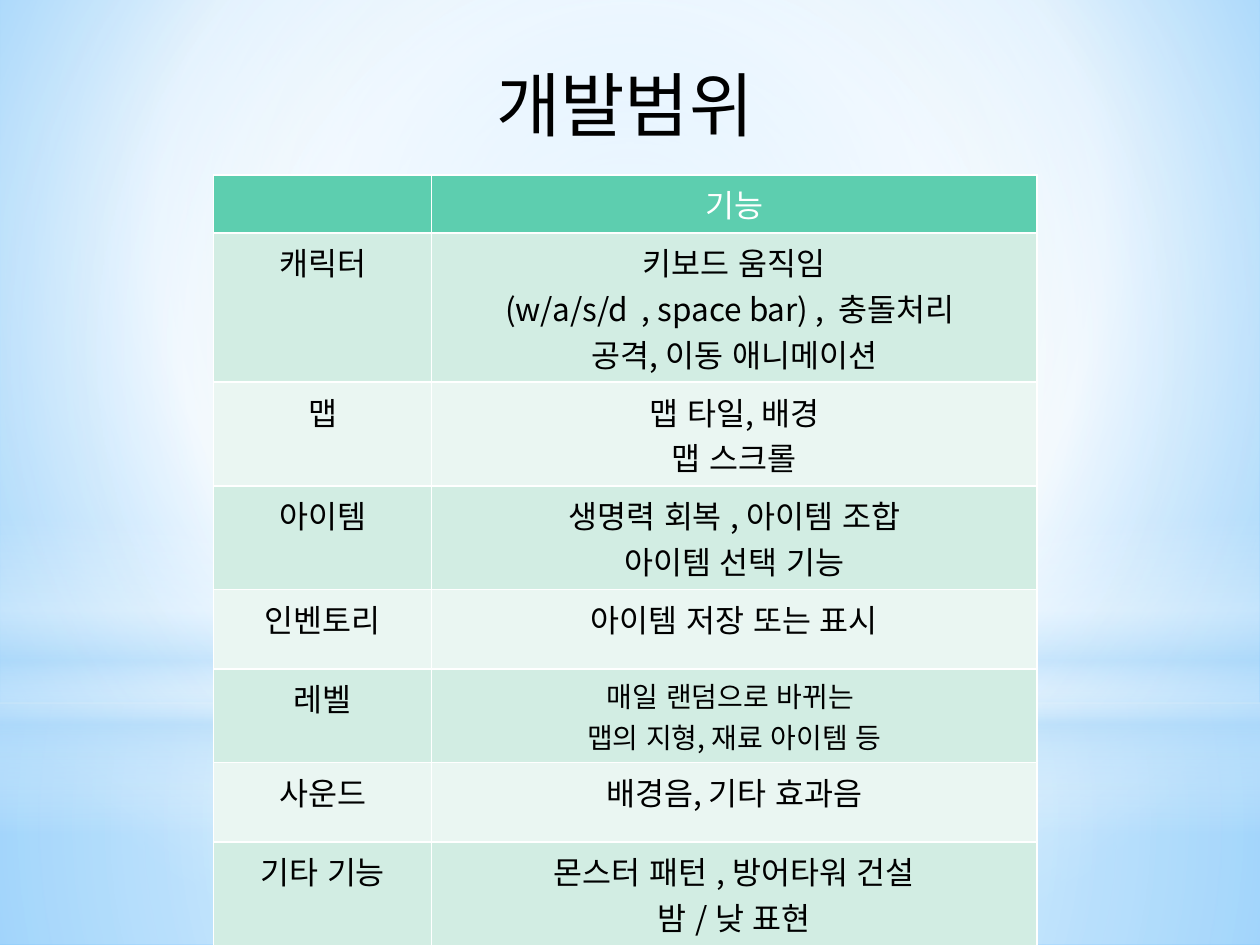
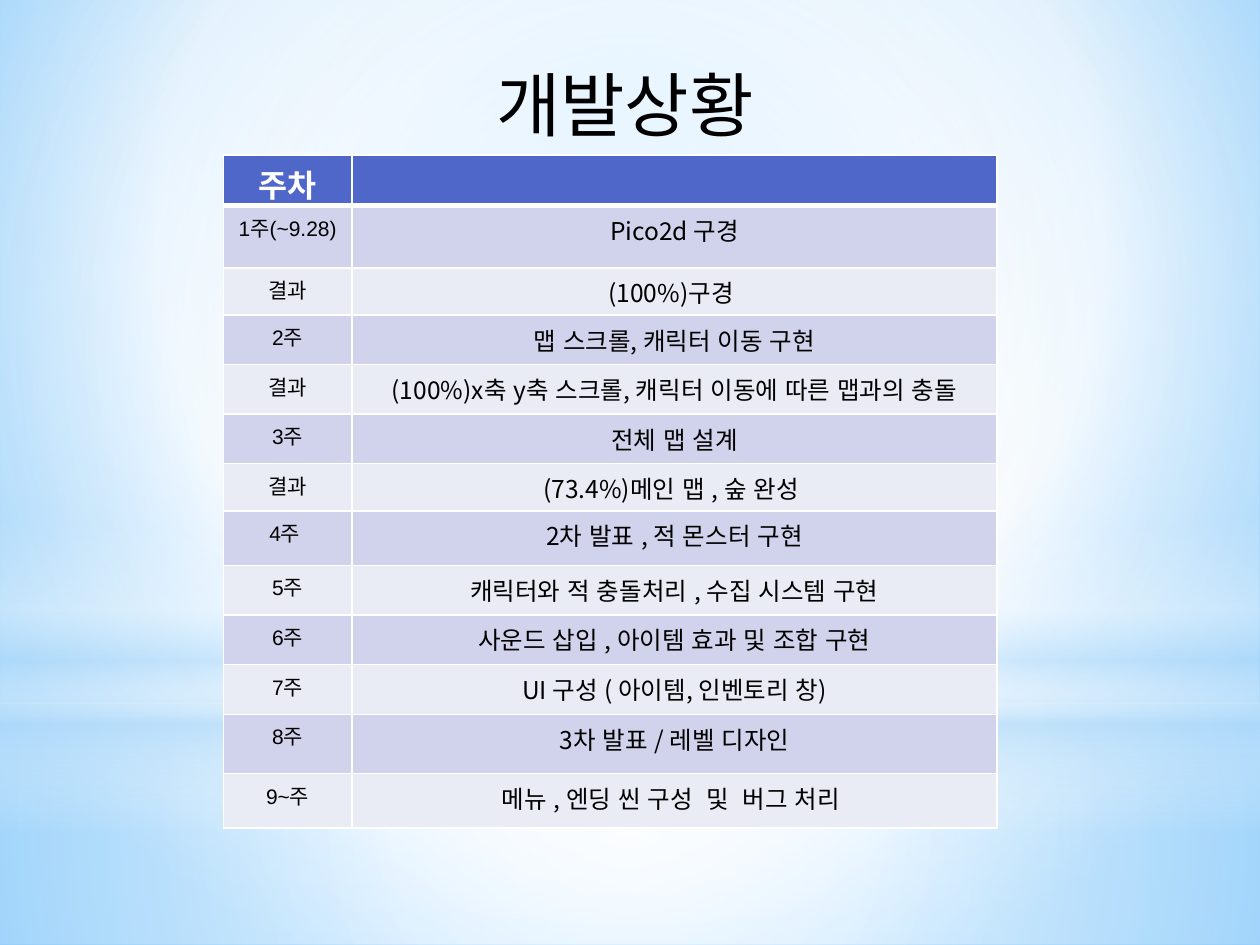
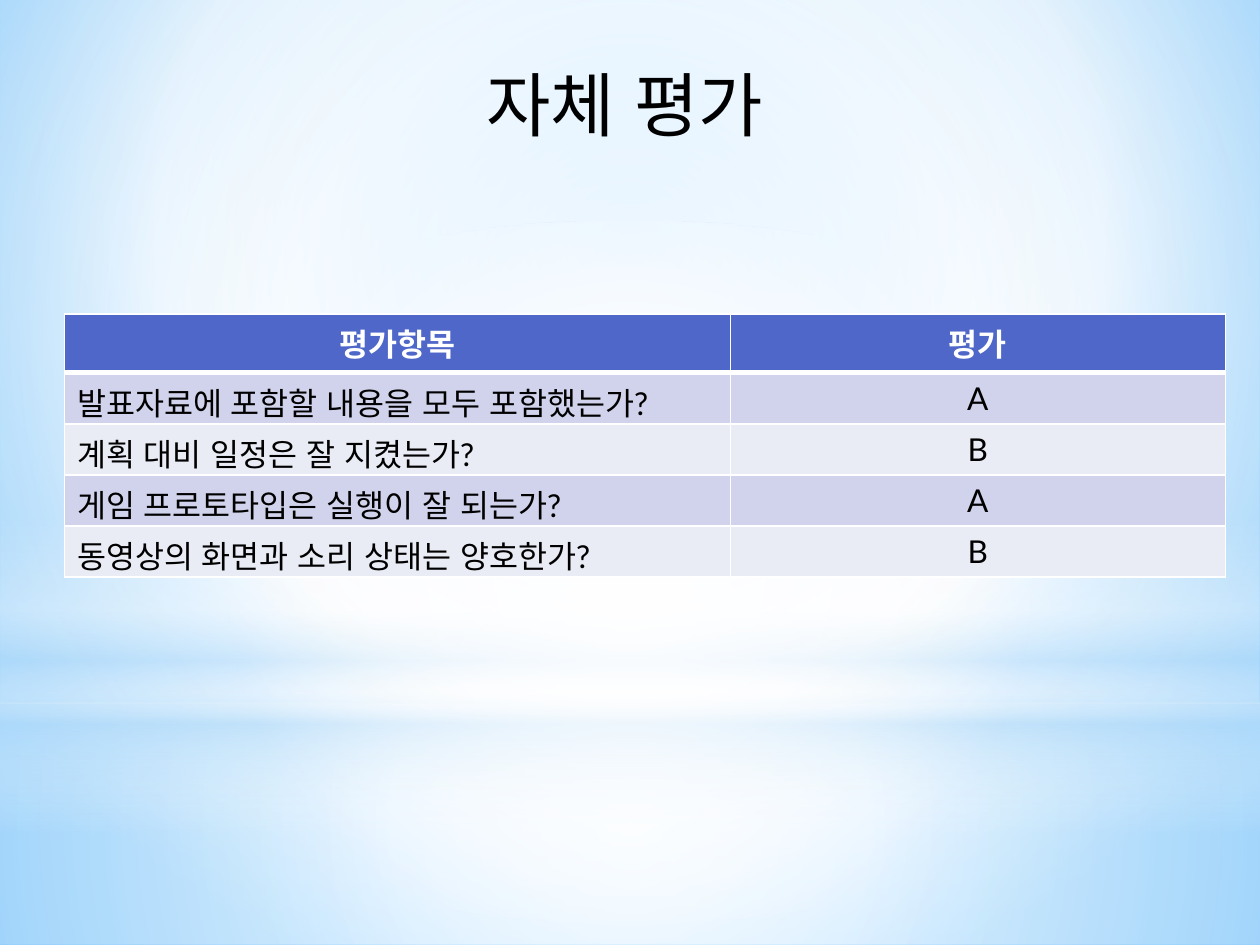
from collections import namedtuple

from lxml import etree
from pptx import Presentation
from pptx.dml.color import RGBColor
from pptx.enum.lang import MSO_LANGUAGE_ID
from pptx.enum.shapes import MSO_SHAPE
from pptx.enum.text import MSO_AUTO_SIZE, PP_ALIGN
from pptx.oxml.ns import qn
from pptx.util import Pt

RECT, OVAL = MSO_SHAPE.RECTANGLE, MSO_SHAPE.OVAL
LEFT, CENTER = PP_ALIGN.LEFT, PP_ALIGN.CENTER
FIT_SHAPE = MSO_AUTO_SIZE.SHAPE_TO_FIT_TEXT
KOREAN = MSO_LANGUAGE_ID.KOREAN

COLORS = {
    "black": "000000", "white": "FFFFFF",
    "sky": "9ED5FF", "deep": "5BB9FF", "mist": "B4DCFA",
    "green": "5DCEAF", "green_dark": "D2EDE3", "green_light": "EAF6F2",
    "blue": "4E67C8", "blue_dark": "D0D3EB", "blue_light": "E9EBF5",
}
HEAD_FONT, LABEL_FONT, BODY_FONT = "Lato", "Arial", "Noto Sans CJK KR"
MIDDLE = (50, 50, 50, 50)

# Text style of a column, and look of a whole table
Style = namedtuple("Style", "font size align", defaults=[CENTER])
Theme = namedtuple("Theme", "head dark light bold rule bottom")
GREEN = Theme("green", "green_dark", "green_light", False, 1, 3.6)
BLUE = Theme("blue", "blue_dark", "blue_light", True, 3, 0)

# Background layers: shape, top, height, stops (position, colour, alpha), focus
LAYERS = [
    (RECT, 401.76, 138.24, [(0, "white", 91), (37, "white", 76), (100, "mist", 79)], MIDDLE),
    (RECT, 0, 401.76, [(0, "white", 89), (48, "white", 62), (100, "mist", 79)], MIDDLE),
    (RECT, 296.64, 180, [(0, "white", 0), (29, "white", 30), (45, "mist", 40),
                         (55, "white", 26), (65, "mist", 60), (100, "white", 0)], None),
    (OVAL, 126, 401.76, [(0, "white", 100), (56, "white", 0)], MIDDLE),
]

SCOPE_ROWS = [
    ("", "기능"),
    ("캐릭터", "키보드 움직임\n(w/a/s/d  , space bar) ,  충돌처리 \n공격, 이동 애니메이션"),
    ("맵", "맵 타일, 배경\n맵 스크롤"),
    ("아이템", "생명력 회복 , 아이템 조합\n아이템 선택 기능"),
    ("인벤토리", "아이템 저장 또는 표시"),
    ("레벨", "매일 랜덤으로 바뀌는 \n맵의 지형, 재료 아이템 등"),
    ("사운드", "배경음, 기타 효과음"),
    ("기타 기능", "몬스터 패턴 , 방어타워 건설\n밤 / 낮 표현"),
]
PROGRESS_ROWS = [
    ("주차", ""),
    ("1주(~9.28)", "Pico2d 구경"),
    ("결과", "(100%)구경 "),
    ("2주", "맵 스크롤, 캐릭터 이동 구현"),
    ("결과", "(100%)x축 y축 스크롤, 캐릭터 이동에 따른 맵과의 충돌"),
    ("3주", "전체 맵 설계"),
    ("결과", "(73.4%)메인 맵 , 숲 완성 "),
    ("4주 ", "2차 발표 , 적 몬스터 구현"),
    ("5주", "캐릭터와 적 충돌처리 , 수집 시스템 구현"),
    ("6주", "사운드 삽입 , 아이템 효과 및 조합 구현"),
    ("7주", "UI 구성 ( 아이템, 인벤토리 창)"),
    ("8주", "3차 발표 / 레벨 디자인"),
    ("9~주", "메뉴 , 엔딩 씬 구성  및  버그 처리 "),
]
REVIEW_ROWS = [
    ("평가항목", "평가"),
    ("발표자료에 포함할 내용을 모두 포함했는가?", "A"),
    ("계획 대비 일정은 잘 지켰는가?", "B"),
    ("게임 프로토타입은 실행이 잘 되는가?", "A"),
    ("동영상의 화면과 소리 상태는 양호한가?", "B"),
]


def rgb(name):
    return RGBColor.from_string(COLORS[name])


def set_gradient(fill, props, stops, focus):
    """Fill with a round gradient, or a vertical one when there is no focus."""
    fill.solid()
    grad = etree.Element(qn("a:gradFill"), rotWithShape="1")
    stop_list = etree.SubElement(grad, qn("a:gsLst"))
    for position, color, alpha in stops:
        stop = etree.SubElement(stop_list, qn("a:gs"), pos=str(position * 1000))
        value = etree.SubElement(stop, qn("a:srgbClr"), val=COLORS[color])
        if alpha < 100:
            etree.SubElement(value, qn("a:alpha"), val=str(alpha * 1000))
    if focus:
        shade = etree.SubElement(grad, qn("a:path"), path="circle")
        sides = {side: str(v * 1000) for side, v in zip("ltrb", focus)}
        etree.SubElement(shade, qn("a:fillToRect"), **sides)
    else:
        etree.SubElement(grad, qn("a:lin"), ang="5400000", scaled="0")
    props.replace(props.find(qn("a:solidFill")), grad)


def set_master_background(prs):
    master = prs.slide_master
    fill = master.background.fill
    fill.solid()
    props = master.element.find(".//" + qn("p:bgPr"))
    stops = [(0, "sky", 100), (60, "white", 100), (100, "deep", 100)]
    set_gradient(fill, props, stops, (20, 10, 20, 60))


def write_text(tf, text, style, color="black", bold=False):
    for i, line in enumerate(text.split("\n")):
        p = tf.paragraphs[0] if i == 0 else tf.add_paragraph()
        p.alignment = style.align
        p.font.name, p.font.size, p.font.bold = style.font, Pt(style.size), bold
        p.font.color.rgb = rgb(color)
        p.font.language_id = KOREAN
        if line:
            p.add_run().text = line


def add_page(prs, title):
    """Slide with the shared light layers and a centred title."""
    s = prs.slides.add_slide(prs.slide_layouts[6])
    for kind, top, height, stops, focus in LAYERS:
        sp = s.shapes.add_shape(kind, 0, Pt(top), prs.slide_width, Pt(height))
        sp.shadow.inherit = False
        sp.line.fill.background()
        set_gradient(sp.fill, sp.element.spPr, stops, focus)
    box = s.shapes.add_textbox(Pt(167), Pt(31.7), Pt(380.2), Pt(55.7))
    tf = box.text_frame
    tf.word_wrap = True
    tf.auto_size = FIT_SHAPE
    write_text(tf, title, Style(HEAD_FONT, 40))
    return s


def set_borders(cell, top, bottom):
    props = cell._tc.get_or_add_tcPr()
    widths = {"lnL": 1, "lnR": 1, "lnT": top, "lnB": bottom}
    for i, (tag, width) in enumerate(widths.items()):
        line = etree.Element(qn("a:" + tag), w=str(Pt(width)))
        solid = etree.SubElement(line, qn("a:solidFill"))
        etree.SubElement(solid, qn("a:srgbClr"), val=COLORS["white"])
        props.insert(i, line)


def add_grid(s, left, top, widths, heights, rows, styles, theme, sizes=None):
    """Banded table; sizes maps (row, column) to a special text size."""
    sizes = sizes or {}
    frame = s.shapes.add_table(len(rows), len(widths), Pt(left), Pt(top),
                               Pt(sum(widths)), Pt(sum(heights)))
    table = frame.table
    for column, width in zip(table.columns, widths):
        column.width = Pt(width)
    for r, (row, height) in enumerate(zip(rows, heights)):
        table.rows[r].height = Pt(height)
        is_head = r == 0
        band = theme.head if is_head else theme.dark if r % 2 else theme.light
        for c, text in enumerate(row):
            cell = table.cell(r, c)
            cell.margin_bottom = Pt(theme.bottom)
            cell.fill.solid()
            cell.fill.fore_color.rgb = rgb(band)
            set_borders(cell, theme.rule if r == 1 else 1, theme.rule if is_head else 1)
            if is_head:
                write_text(cell.text_frame, text, Style(HEAD_FONT, 18), "white", theme.bold)
            else:
                style = styles[c]
                style = style._replace(size=sizes.get((r, c), style.size))
                write_text(cell.text_frame, text, style)


def main():
    prs = Presentation()
    prs.slide_width, prs.slide_height = Pt(720), Pt(540)
    set_master_background(prs)

    # Development scope
    s = add_page(prs, "개발범위")
    heights = [33.2, 85.2, 59.3, 59.3, 45.4, 53.4, 45.4, 59.3]
    add_grid(s, 122, 100, [124.7, 345.8], heights, SCOPE_ROWS,
             [Style(LABEL_FONT, 18), Style(BODY_FONT, 18)], GREEN, {(5, 1): 16})

    # Weekly progress
    s = add_page(prs, "개발상황")
    heights = [28.8, 35.7, 27, 28.3, 28.3, 28.3, 27, 31.1, 28.4, 28.4, 28.4, 33.9, 31.1]
    add_grid(s, 127.6, 88.6, [73.6, 368.5], heights, PROGRESS_ROWS,
             [Style(LABEL_FONT, 12), Style(BODY_FONT, 14)], BLUE)

    # Self review
    s = add_page(prs, "자체 평가")
    add_grid(s, 36.9, 179.5, [380.5, 282.8], [33.5] + [29.2] * 4, REVIEW_ROWS,
             [Style(HEAD_FONT, 18, LEFT), Style(HEAD_FONT, 18)], BLUE)

    prs.save("out.pptx")


if __name__ == "__main__":
    main()
